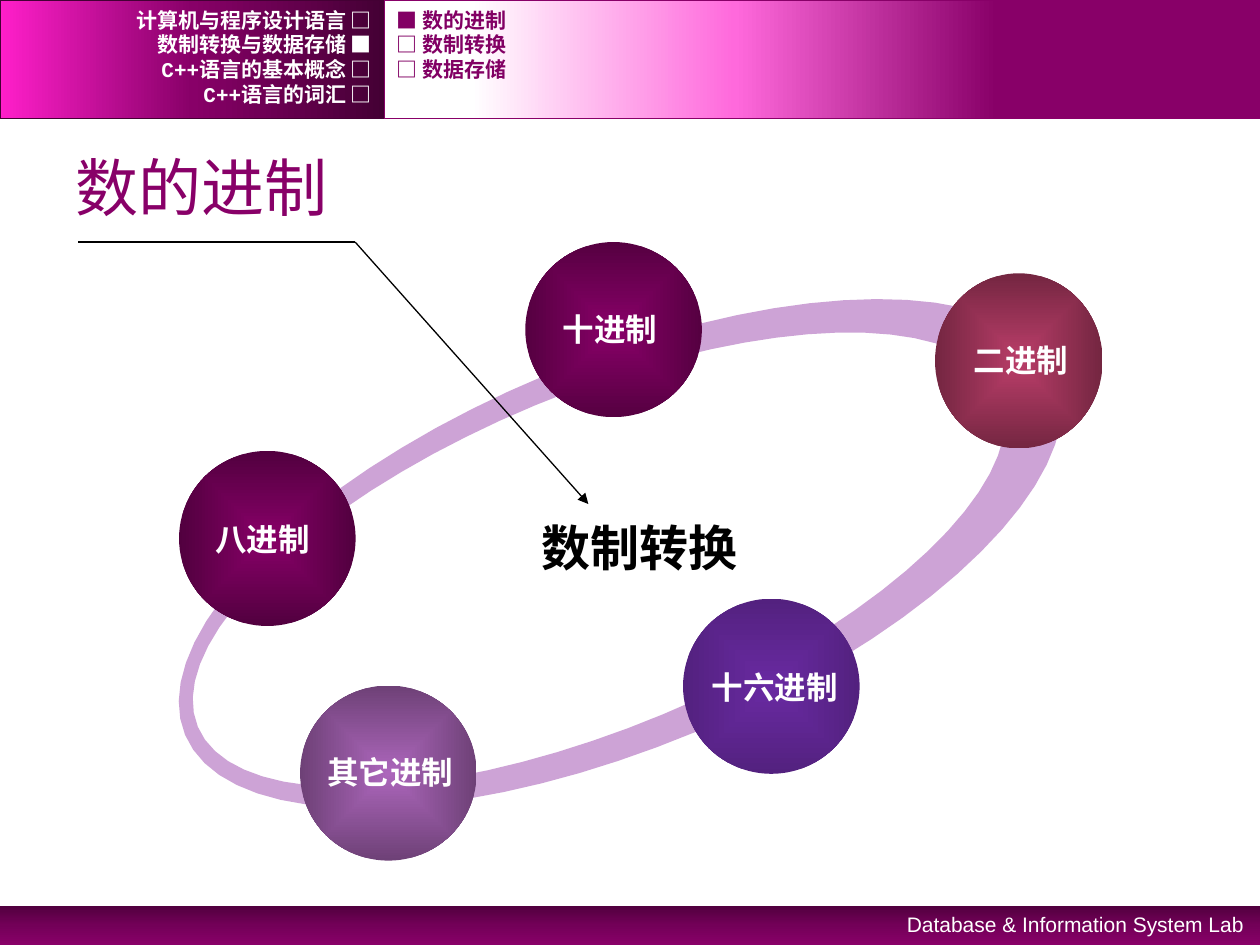
from dataclasses import dataclass
from math import cos, pi, sin

from pptx import Presentation
from pptx.dml.color import RGBColor
from pptx.enum.shapes import MSO_CONNECTOR, MSO_SHAPE
from pptx.enum.text import MSO_ANCHOR, MSO_AUTO_SIZE, PP_ALIGN
from pptx.oxml import parse_xml
from pptx.oxml.ns import nsdecls
from pptx.oxml.xmlchemy import OxmlElement
from pptx.util import Cm, Pt

WHITE = RGBColor(0xFF, 0xFF, 0xFF)
BLACK = RGBColor(0x00, 0x00, 0x00)
PLUM = RGBColor(0x88, 0x00, 0x68)
PLUM_MID = RGBColor(0x73, 0x00, 0x58)
PLUM_DARK = RGBColor(0x51, 0x00, 0x3E)
PLUM_DEEP = RGBColor(0x44, 0x00, 0x34)
NAV_TEXT = RGBColor(0x82, 0x00, 0x64)
MAGENTA = RGBColor(0xFF, 0x1F, 0xCA)
PINK = RGBColor(0xFF, 0x69, 0xDC)
LILAC = RGBColor(0xCD, 0xA3, 0xD6)

# Text formats
TITLE = {"name": "Arial", "size": Pt(36), "bold": False}
CENTRE = {"name": "Arial", "size": Pt(28), "bold": True}
LABEL = {"name": "Arial", "size": Pt(18), "bold": True}
NAV = {"name": "Courier New", "size": Pt(12), "bold": True}
FOOTER = {"name": "Arial", "size": Pt(12), "bold": False}

RADIAL = ('<a:path path="shape"><a:fillToRect l="50000" t="50000" '
          'r="50000" b="50000"/></a:path>')


@dataclass
class Box:
    """A rectangle in centimetres."""
    x: float
    y: float
    w: float
    h: float

    def emu(self) -> tuple:
        return Cm(self.x), Cm(self.y), Cm(self.w), Cm(self.h)


@dataclass
class Ball:
    """A numeral system: its sphere and its label."""
    text: str
    sphere: Box
    label: Box
    inner: RGBColor
    outer: RGBColor


BALLS = [
    Ball("十进制", Box(10.59, 4.88, 3.56, 3.53), Box(11.1, 6.12, 2.44, 1.02),
         PLUM, RGBColor(0x56, 0x00, 0x41)),
    Ball("八进制", Box(3.61, 9.09, 3.56, 3.53), Box(4.09, 10.36, 2.44, 1.02),
         PLUM, RGBColor(0x52, 0x00, 0x3F)),
    Ball("其它进制", Box(6.05, 13.82, 3.56, 3.53), Box(6.35, 15.06, 3.07, 1.02),
         RGBColor(0xAC, 0x66, 0xBB), RGBColor(0x6E, 0x41, 0x77)),
    Ball("十六进制", Box(13.77, 12.07, 3.56, 3.53), Box(14.1, 13.34, 3.07, 1.02),
         RGBColor(0x69, 0x2A, 0xA2), RGBColor(0x53, 0x21, 0x7F)),
    Ball("二进制", Box(18.85, 5.51, 3.38, 3.53), Box(19.38, 6.76, 2.44, 1.02),
         RGBColor(0xB8, 0x3D, 0x68), RGBColor(0x74, 0x26, 0x41)),
]
CHAPTERS = ["计算机与程序设计语言 □", "数制转换与数据存储 ■",
            "C++语言的基本概念 □", "C++语言的词汇 □"]
SECTIONS = ["■ 数的进制", "□ 数制转换", "□ 数据存储"]


def linear(angle: int) -> str:
    return f'<a:lin ang="{angle * 60000}" scaled="0"/>'


def add_gradient(s, kind: MSO_SHAPE, box: Box, stops: list, direction: str,
                 line: RGBColor | None = None):
    sp = s.shapes.add_shape(kind, *box.emu())
    sp.shadow.inherit = False
    if line is None:
        sp.line.fill.background()
    else:
        sp.line.color.rgb = line
        sp.line.width = Pt(1)
    gs = "".join(f'<a:gs pos="{pos * 1000}"><a:srgbClr val="{color}"/></a:gs>'
                 for pos, color in stops)
    sp._element.spPr.find("{*}prstGeom").addnext(parse_xml(
        f'<a:gradFill {nsdecls("a")} rotWithShape="1">'
        f'<a:gsLst>{gs}</a:gsLst>{direction}</a:gradFill>'))
    return sp


def write(sp, text: str, fmt: dict, color: RGBColor,
          align=PP_ALIGN.LEFT, anchor=MSO_ANCHOR.TOP, wrap: bool = True,
          fit=MSO_AUTO_SIZE.NONE) -> None:
    tf = sp.text_frame
    tf.word_wrap = wrap
    tf.auto_size = fit
    tf.vertical_anchor = anchor
    p = tf.paragraphs[0]
    p.alignment = align
    r = p.add_run()
    r.text = text
    for key, value in fmt.items():
        setattr(r.font, key, value)
    r.font.color.rgb = color


def add_text(s, box: Box, *args, **options) -> None:
    write(s.shapes.add_textbox(*box.emu()), *args, **options)


def add_nav(s, x: float, w: float, rows: list, color: RGBColor, align) -> None:
    for i, text in enumerate(rows):
        add_text(s, Box(x, 0.15 + 0.5 * i, w, 0.5), text, NAV, color,
                 align=align, anchor=MSO_ANCHOR.MIDDLE)


def ellipse(cx: float, cy: float, rx: float, ry: float, n: int = 72) -> list:
    angles = [2 * pi * i / n for i in range(n)]
    return [(Cm(cx + rx * cos(a)), Cm(cy + ry * sin(a))) for a in angles]


def add_ring(s, cx: float, cy: float) -> None:
    outer = ellipse(cx, cy, 9.51, 3.9)
    inner = ellipse(cx - 0.45, cy - 0.05, 8.76, 3.37)[::-1]
    fb = s.shapes.build_freeform(*outer[0])
    fb.add_line_segments(outer[1:], close=True)
    fb.move_to(*inner[0])
    fb.add_line_segments(inner[1:], close=True)
    sp = fb.convert_to_shape()
    sp.rotation = 337.4
    sp.shadow.inherit = False
    sp.fill.solid()
    sp.fill.fore_color.rgb = LILAC
    sp.line.fill.background()


def add_line(s, start: tuple, end: tuple, arrow: bool = False) -> None:
    c = s.shapes.add_connector(MSO_CONNECTOR.STRAIGHT,
                               *(Cm(v) for v in start + end))
    c.line.color.rgb = BLACK
    c.line.width = Pt(0.75)
    if arrow:
        tail = OxmlElement("a:tailEnd")
        tail.set("type", "triangle")
        c.line._get_or_add_ln().append(tail)
    c._element.spPr.append(OxmlElement("a:effectLst"))


def main() -> None:
    prs = Presentation()
    prs.slide_width, prs.slide_height = Cm(25.4), Cm(19.05)
    s = prs.slides.add_slide(prs.slide_layouts[5])

    # Header and footer bands
    add_gradient(s, MSO_SHAPE.RECTANGLE, Box(0, 18.26, 25.4, 0.79),
                 [(0, PLUM_DARK), (50, PLUM_MID), (100, PLUM)], linear(90))
    add_gradient(s, MSO_SHAPE.RECTANGLE, Box(0, 0, 7.75, 2.39),
                 [(0, PLUM_DEEP), (50, PLUM), (100, MAGENTA)], linear(180),
                 PLUM_DEEP)
    add_gradient(s, MSO_SHAPE.RECTANGLE, Box(7.75, 0, 17.65, 2.39),
                 [(30, PLUM), (60, PINK), (90, WHITE)], linear(180), PLUM)
    add_text(s, Box(16.31, 18.26, 9.02, 0.76),
             "Database & Information System Lab", FOOTER, WHITE,
             align=PP_ALIGN.RIGHT, fit=MSO_AUTO_SIZE.SHAPE_TO_FIT_TEXT)

    # Title
    title = s.shapes.title
    title.left, title.top, title.width, title.height = Box(
        1.27, 2.77, 22.86, 1.98).emu()
    write(title, "数的进制", TITLE, PLUM, anchor=MSO_ANCHOR.MIDDLE)

    # Ring of numeral systems
    add_ring(s, 12.51, 11.16)
    for ball in BALLS:
        add_gradient(s, MSO_SHAPE.OVAL, ball.sphere,
                     [(0, ball.inner), (100, ball.outer)], RADIAL)
    for ball in BALLS:
        add_text(s, ball.label, ball.text, LABEL, WHITE, wrap=False,
                 fit=MSO_AUTO_SIZE.SHAPE_TO_FIT_TEXT)

    # Centre topic and its callout line
    add_text(s, Box(9.3, 10.31, 7.19, 1.45), "数制转换", CENTRE, BLACK,
             align=PP_ALIGN.CENTER, fit=MSO_AUTO_SIZE.SHAPE_TO_FIT_TEXT)
    bend = (7.16, 4.88)
    add_line(s, bend, (11.86, 10.16), arrow=True)
    add_line(s, bend, (1.57, 4.88))

    # Navigation
    add_nav(s, 0, 7.75, CHAPTERS, WHITE, PP_ALIGN.RIGHT)
    add_nav(s, 7.75, 15.29, SECTIONS, NAV_TEXT, PP_ALIGN.LEFT)

    prs.save("out.pptx")


if __name__ == "__main__":
    main()
